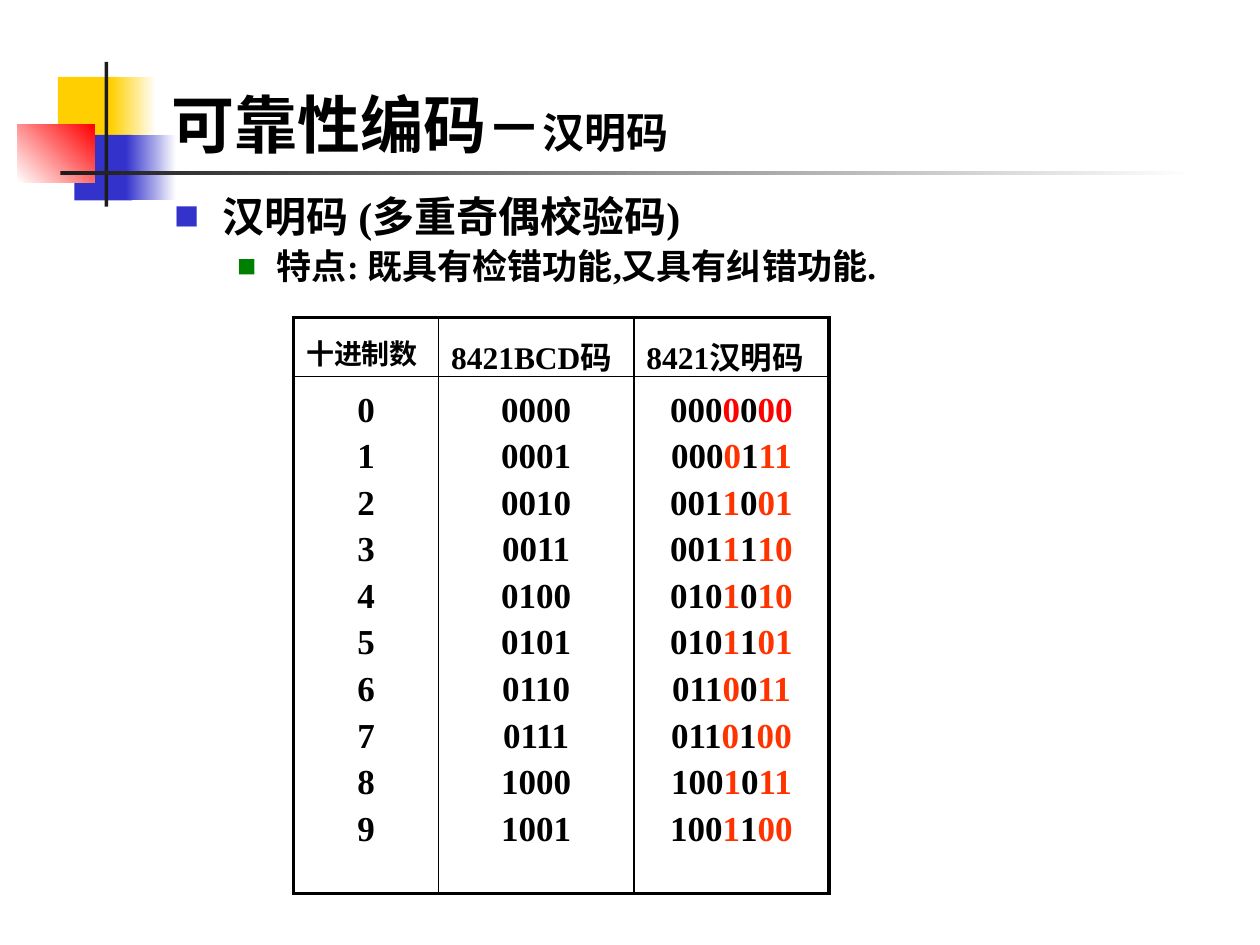
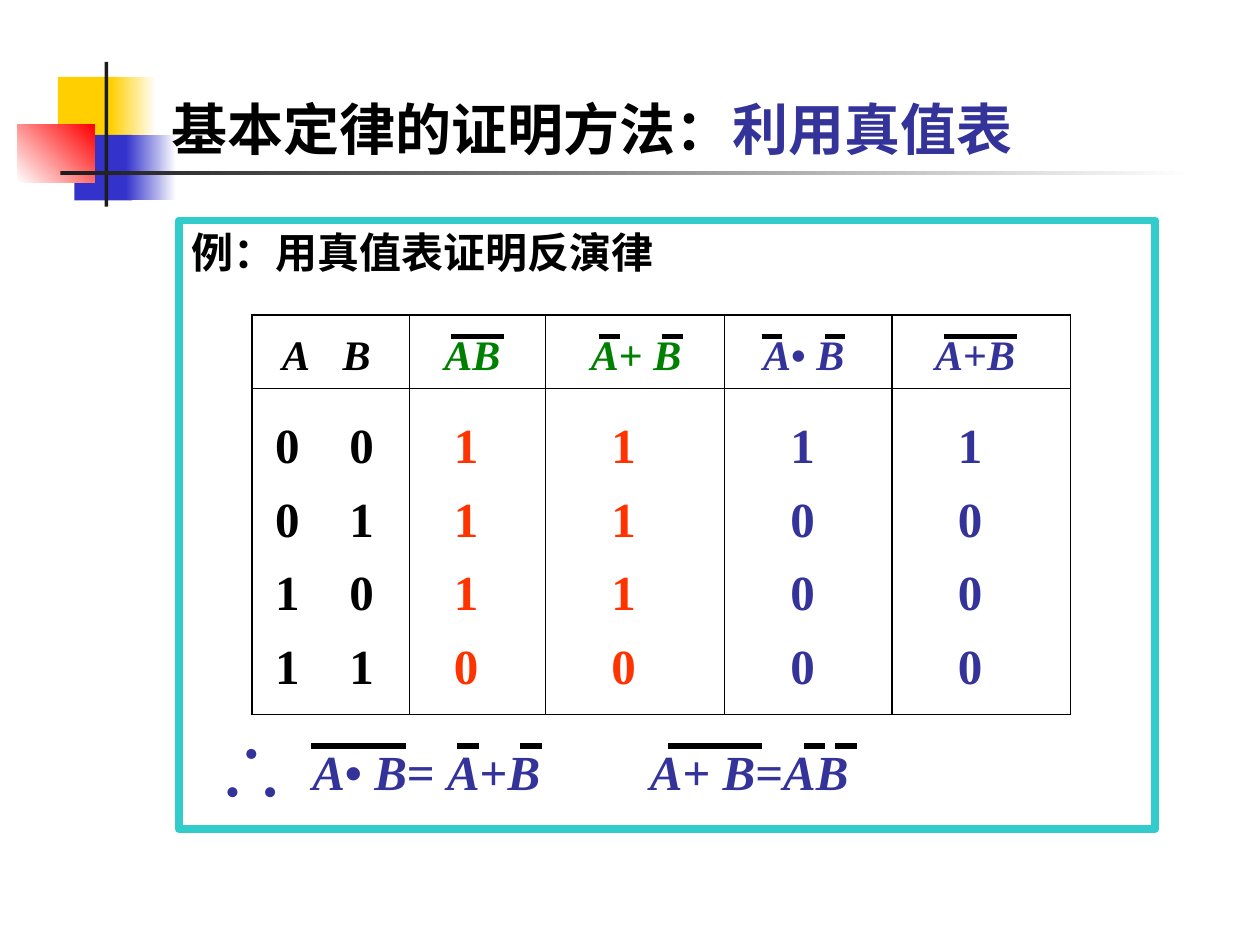
from dataclasses import dataclass
from itertools import groupby

from lxml import etree
from pptx import Presentation
from pptx.dml.color import RGBColor
from pptx.enum.shapes import MSO_CONNECTOR, MSO_SHAPE
from pptx.enum.text import MSO_ANCHOR, PP_ALIGN
from pptx.oxml.ns import qn
from pptx.util import Pt

PX = 9144  # 100 px to the inch
RECT, LINE = MSO_SHAPE.RECTANGLE, MSO_CONNECTOR.STRAIGHT
LEFT, MID = PP_ALIGN.LEFT, PP_ALIGN.CENTER
TOP, CENTER, BOTTOM = MSO_ANCHOR.TOP, MSO_ANCHOR.MIDDLE, MSO_ANCHOR.BOTTOM


@dataclass(frozen=True)
class Theme:
    black: str = "000000"
    white: str = "FFFFFF"
    dark: str = "1C1C1C"
    gold: str = "FFCF01"
    blue: str = "3333CC"
    navy: str = "333399"
    red: str = "FF0000"
    orange: str = "FF3300"
    green: str = "008000"
    teal: str = "33CCCC"
    latin: str = "Times New Roman"
    asian: str = "Noto Sans CJK SC"
    title: int = 36
    long: int = 32
    head: int = 24
    text: int = 20
    label: int = 18
    small: int = 16
    digit: int = 28
    sign: int = 44


T = Theme()


def emu(*nums):
    return [round(n * PX) for n in nums]


def rgb(tint):
    return RGBColor.from_string(tint)


def add_run(para, text, size, tint=T.black, bold=True, slant=False):
    run = para.add_run()
    run.text = text
    font = run.font
    font.name, font.size = T.latin, Pt(size)
    font.bold, font.italic = bold, slant
    font.color.rgb = rgb(tint)
    east = etree.SubElement(run._r.rPr, qn("a:ea"))
    east.set("typeface", T.asian)


def add_math(para, text, size, tint):
    """Slant the letters and keep the signs upright."""
    for slant, part in groupby(text, str.isalpha):
        add_run(para, "".join(part), size, tint, slant=slant)


def add_box(slide, box, anchor=CENTER, align=LEFT, wrap=False):
    frame = slide.shapes.add_textbox(*emu(*box)).text_frame
    frame.word_wrap, frame.vertical_anchor = wrap, anchor
    frame.paragraphs[0].alignment = align
    return frame


def add_rect(slide, box, tint, fade=None, angle=0):
    shape = slide.shapes.add_shape(RECT, *emu(*box))
    shape.shadow.inherit = False
    shape.line.fill.background()
    fill = shape.fill
    if fade is None:
        fill.solid()
        fill.fore_color.rgb = rgb(tint)
        return
    fill.gradient()
    fill.gradient_angle = angle
    for stop, hue in zip(fill.gradient_stops, (tint, fade)):
        stop.color.rgb = rgb(hue)


def add_bar(slide, left, right, y):
    """Draw the overline of a negated term."""
    bar = slide.shapes.add_connector(LINE, *emu(left, y, right, y))
    bar.line.width = Pt(3)
    bar.line.color.rgb = rgb(T.black)
    etree.SubElement(bar._element.spPr, qn("a:effectLst"))


def add_decor(slide):
    add_rect(slide, (46, 61, 48, 52), T.gold)
    add_rect(slide, (88, 61, 36, 52), T.gold, T.white)
    add_rect(slide, (59, 107, 46, 52), T.blue)
    add_rect(slide, (100, 107, 40, 52), T.blue, T.white)
    add_rect(slide, (14, 99, 61, 46), T.white, T.red, 45)
    add_rect(slide, (83, 49, 3, 115), T.dark)
    add_rect(slide, (48, 136, 900, 3), T.dark, T.white)


def new_slide(deck, parts):
    slide = deck.slides.add_slide(deck.slide_layouts[5])
    add_decor(slide)
    title = slide.shapes.title
    title.left, title.top, title.width, title.height = emu(126, 8, 852, 125)
    slide.shapes._spTree.append(title._element)
    frame = title.text_frame
    frame.vertical_anchor, frame.word_wrap = BOTTOM, True
    para = frame.paragraphs[0]
    para.alignment = LEFT
    for text, size, tint in parts:
        add_run(para, text, size, tint)
    return slide


def set_bullet(para, tint, left, hang, scale):
    props = para._p.get_or_add_pPr()
    props.set("marL", str(left * PX))
    props.set("indent", str(-hang * PX))
    color = etree.SubElement(props, qn("a:buClr"))
    etree.SubElement(color, qn("a:srgbClr")).set("val", tint)
    etree.SubElement(props, qn("a:buSzPct")).set("val", str(scale * 1000))
    etree.SubElement(props, qn("a:buFont")).set("typeface", T.asian)
    etree.SubElement(props, qn("a:buChar")).set("char", "■")


def set_edges(cell, edges):
    """Set the widths of the left, right, top and bottom borders; 0 hides one."""
    props = cell._tc.get_or_add_tcPr()
    for spot, (side, width) in enumerate(zip("LRTB", edges)):
        edge = etree.Element(qn(f"a:ln{side}"))
        edge.set("w", str(Pt(width)))
        kind = "a:solidFill" if width else "a:noFill"
        fill = etree.SubElement(edge, qn(kind))
        if width:
            etree.SubElement(fill, qn("a:srgbClr")).set("val", T.black)
        props.insert(spot, edge)


def add_grid(slide, box, cols, rows, rules, outer):
    """Add a plain table; rules holds the width of each inner vertical line."""
    frame = slide.shapes.add_table(len(rows), len(cols), *emu(*box))
    grid = frame.table
    grid.first_row = grid.horz_banding = False
    for col, width in zip(grid.columns, cols):
        col.width = width * PX
    for row, height in zip(grid.rows, rows):
        row.height = height * PX
    sides = [outer, *rules, outer]
    levels = [outer, *[min(outer, 1)] * (len(rows) - 1), outer]
    for y in range(len(rows)):
        for x in range(len(cols)):
            cell = grid.cell(y, x)
            cell.fill.background()
            set_edges(cell, (*sides[x:x + 2], *levels[y:y + 2]))
    return grid


def add_lines(cell, count, align, gap):
    """Return the cell's paragraphs, all with one alignment and line spacing."""
    frame = cell.text_frame
    for _ in range(count - 1):
        frame.add_paragraph()
    for para in frame.paragraphs:
        para.alignment, para.line_spacing = align, gap
    return frame.paragraphs


def add_points(slide, box):
    frame = add_box(slide, box, TOP, wrap=True)
    points = [("汉明码 (多重奇偶校验码)", T.head, T.blue, 38, 38, 60),
              ("特点: 既具有检错功能,又具有纠错功能.", T.text, T.green, 81, 31, 55)]
    for spot, (text, size, tint, left, hang, scale) in enumerate(points):
        para = frame.add_paragraph() if spot else frame.paragraphs[0]
        para.line_spacing = 1.1
        set_bullet(para, tint, left, hang, scale)
        add_run(para, text, size)


def add_codes(slide, box):
    grid = add_grid(slide, box, (115, 155, 155), (47, 410), (1, 1), 2.25)
    heads = [("十进制数", T.small), ("8421BCD码", T.label), ("8421汉明码", T.label)]
    for x, (text, size) in enumerate(heads):
        add_run(add_lines(grid.cell(0, x), 1, LEFT, 1.2)[0], text, size)
    codes = ["0000000", "0000111", "0011001", "0011110", "0101010",
             "0101101", "0110011", "0110100", "1001011", "1001100"]
    nums, bits, words = [add_lines(grid.cell(1, x), len(codes), MID, 1.2)
                         for x in range(3)]
    for num, code in enumerate(codes):
        add_run(nums[num], str(num), T.text)
        add_run(bits[num], f"{num:04b}", T.text)
        check = T.orange if num else T.red
        parts = (code[:3], code[3], code[4], code[5:])
        for part, tint in zip(parts, (T.black, check) * 2):
            add_run(words[num], part, T.text, tint)


def set_center(cell, left, width, goal):
    """Use side margins to centre the text of a cell on goal."""
    shift = round(2 * goal - 2 * left - width)
    cell.margin_left, cell.margin_right = emu(max(shift, 0), max(-shift, 0))


def add_truth(slide, box):
    left, top = box[:2]
    cols = (58, 67, 108, 142, 133, 142)
    grid = add_grid(slide, box, cols, (58, 259), (0, .75, .75, .75, .75), .75)
    # term, head tint, digit tint, digits, centre of head, centre of digits
    terms = [("A", T.black, T.black, "0011", 35, 28),
             ("B", T.black, T.black, "0101", 83, 87),
             ("AB", T.green, T.orange, "1110", 175, 170),
             ("A+ B", T.green, T.orange, "1110", 305, 295),
             ("A• B", T.navy, T.navy, "1000", 438, 437),
             ("A+B", T.navy, T.navy, "1000", 574, 570)]
    for x, (term, tint, hue, digits, mid, low) in enumerate(terms):
        head, body = grid.cell(0, x), grid.cell(1, x)
        start = sum(cols[:x])
        set_center(head, start, cols[x], mid)
        set_center(body, start, cols[x], low)
        head.vertical_anchor = CENTER
        head.margin_top, head.margin_bottom = emu(8, 0)
        body.margin_top = 10 * PX
        add_math(add_lines(head, 1, MID, 1.0)[0], term, T.head, tint)
        for para, digit in zip(add_lines(body, 4, MID, Pt(42)), digits):
            add_run(para, digit, T.digit, hue)
    for start, end in [(158, 200), (275, 292), (325, 342), (405, 421),
                       (455, 471), (549, 607)]:
        add_bar(slide, left + start, left + end, top + 17)


def add_law(slide, box, text, bars):
    frame = add_box(slide, box)
    add_math(frame.paragraphs[0], text, T.digit, T.navy)
    for start, end in bars:
        add_bar(slide, box[0] + start, box[0] + end, box[1] + 9)


def add_proof(slide, box):
    left, top, width, height = box
    frame = add_box(slide, (left, top, 458, 50))
    add_run(frame.paragraphs[0], "例：用真值表证明反演律", T.head)
    edge = slide.shapes.add_shape(RECT, *emu(*box))
    edge.shadow.inherit = False
    edge.fill.background()
    edge.line.color.rgb, edge.line.width = rgb(T.teal), Pt(4.5)
    add_truth(slide, (left + 58, top + 75, 650, 317))
    sign = add_box(slide, (left + 14, top + 392, 88, 83), align=MID)
    add_run(sign.paragraphs[0], "∴", T.sign, T.navy, bold=False)
    add_law(slide, (left + 96, top + 408, 205, 57), "A• B= A+B",
            [(9, 84), (125, 142), (175, 192)])
    add_law(slide, (left + 364, top + 408, 183, 57), "A+ B=AB",
            [(24, 99), (132, 149), (157, 174)])


def main():
    deck = Presentation()
    deck.slide_width, deck.slide_height = emu(1000, 750)
    code = new_slide(deck, [("可靠性编码", T.title, T.black),
                            ("－", T.long, T.black), ("汉明码", T.head, T.black)])
    add_points(code, (129, 142, 850, 100))
    add_codes(code, (233, 252, 425, 457))
    proof = new_slide(deck, [("基本定律的证明方法：", T.long, T.black),
                             ("利用真值表", T.long, T.navy)])
    add_proof(proof, (142, 175, 775, 483))
    deck.save("out.pptx")


if __name__ == "__main__":
    main()
